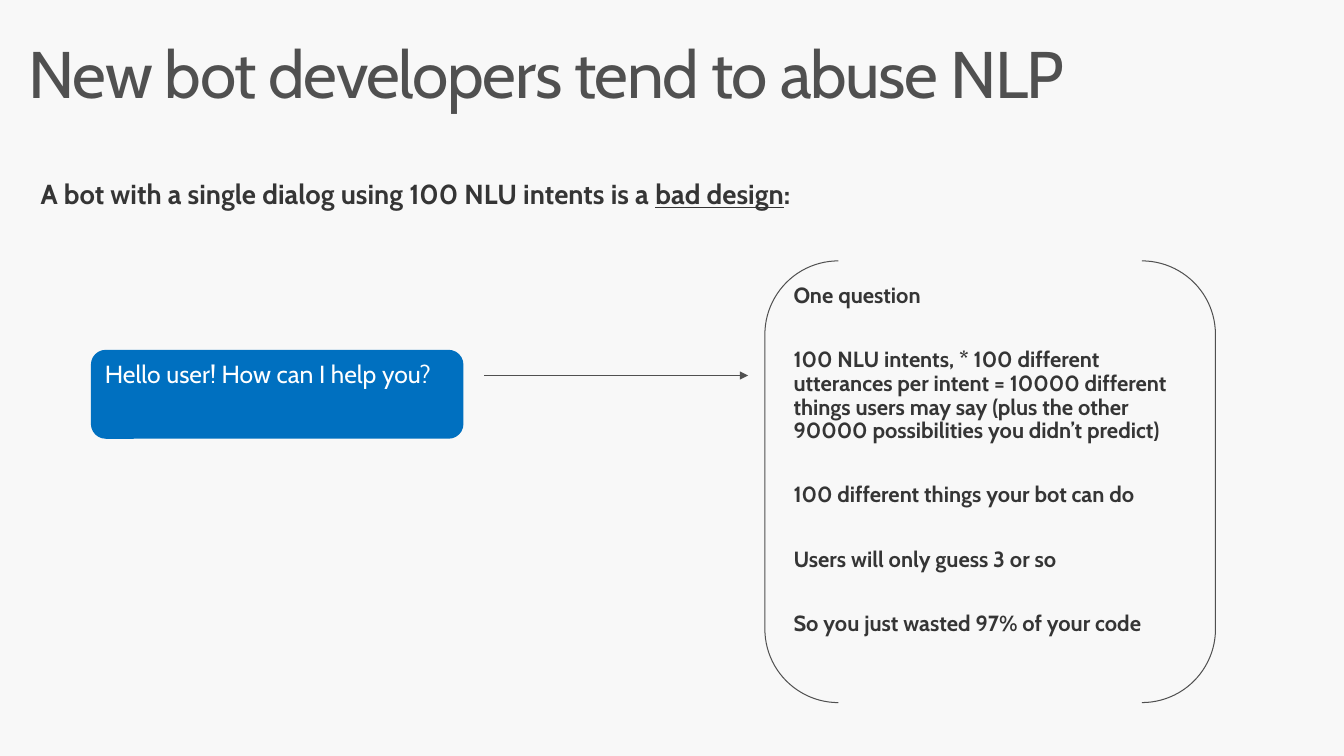
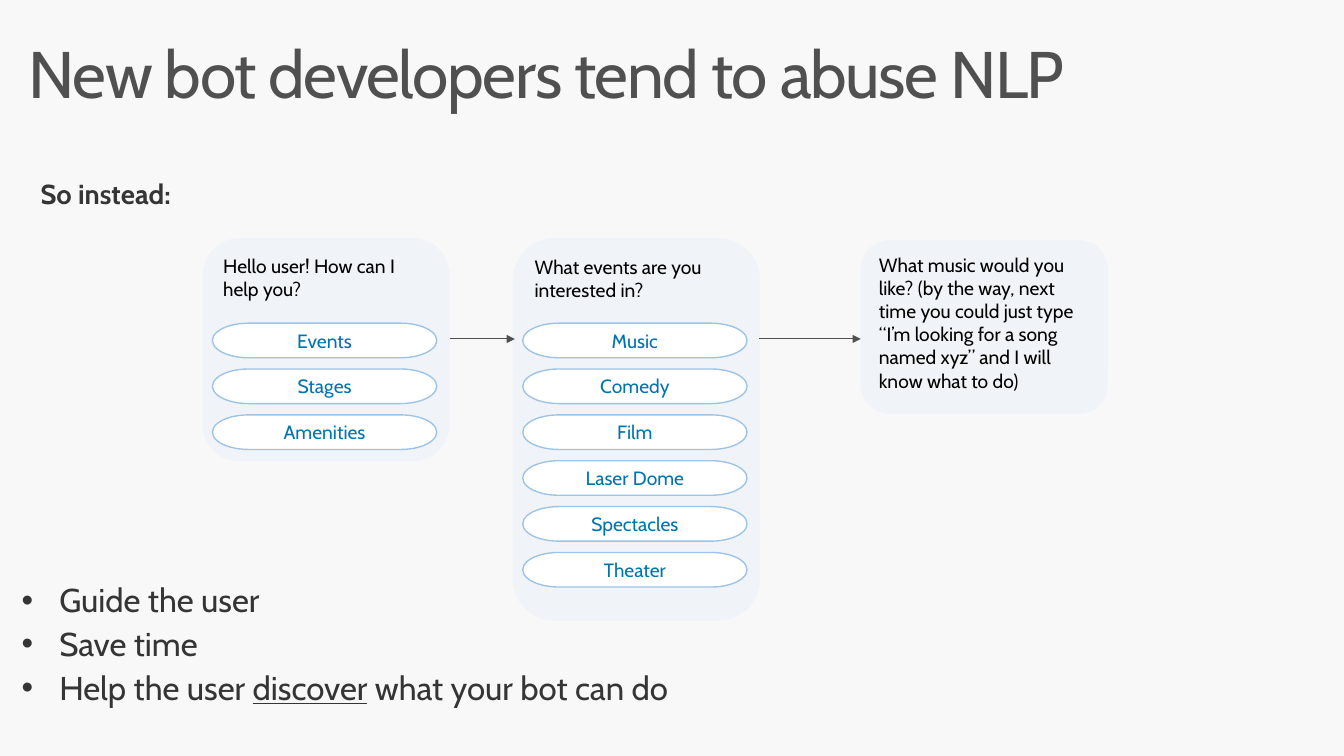
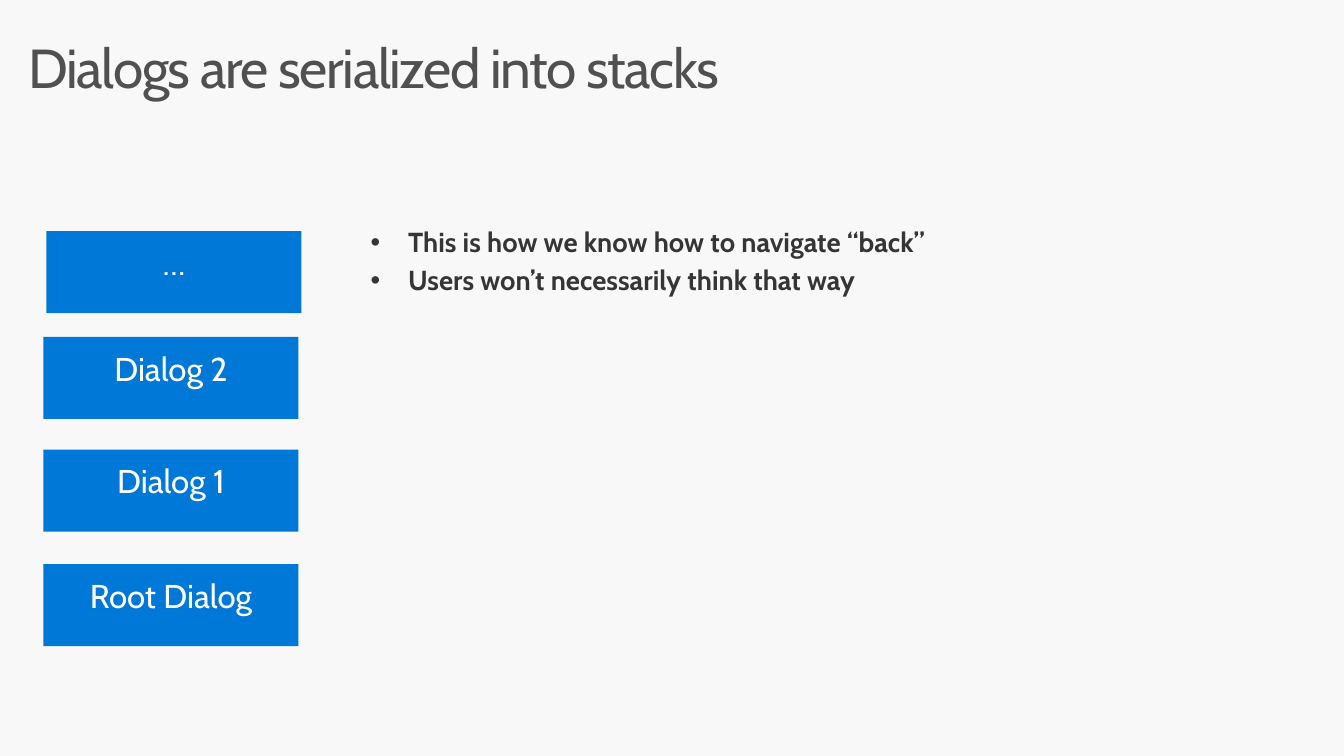
from lxml.etree import SubElement
from pptx import Presentation
from pptx.dml.color import RGBColor
from pptx.enum.shapes import MSO_CONNECTOR, MSO_SHAPE
from pptx.enum.text import MSO_ANCHOR, PP_ALIGN
from pptx.oxml.ns import qn
from pptx.util import Inches, Pt

FONT = "Cabin"
COLOURS = {
    "background": "F8F8F8",
    "title": "505050",
    "line": "505050",
    "body": "353535",
    "greeting": "0070C0",
    "dialog": "0078D7",
    "card": "F0F4F8",
    "choice line": "9DC3E6",
    "choice text": "0074AF",
    "black": "000000",
    "white": "FFFFFF",
}
WIDE_INSETS = (0.2, 0.16)
TITLE_INSETS = (0.16, 0.1)
SHAPE_INSETS = (0.1, 0.05)

CHOICE_WIDTH, CHOICE_HEIGHT = 2.27, 0.35
CHOICE_LEFT, CHOICE_TOP = 0.1, 0.86
CHOICE_PITCH = 2.32 / 5
DIALOG_WIDTH, DIALOG_HEIGHT = 2.58, 0.83
BULLET_INDENT = 0.38


def colour(name):
    return RGBColor.from_string(COLOURS[name])


def add_bullet(para):
    properties = para._p.get_or_add_pPr()
    properties.set("marL", str(Inches(BULLET_INDENT)))
    properties.set("indent", str(-Inches(BULLET_INDENT)))
    SubElement(properties, qn("a:buFont"), typeface="Arial")
    SubElement(properties, qn("a:buChar"), char="•")


def write_text(box, lines, size, ink, bold=False, insets=SHAPE_INSETS, bullets=False,
               tracking=None, anchor=MSO_ANCHOR.TOP, **paragraph_format):
    """Fill the box with one paragraph per line; words between bars are underlined."""
    frame = box.text_frame
    across, down = (Inches(inset) for inset in insets)
    frame_format = {
        "word_wrap": True, "vertical_anchor": anchor,
        "margin_left": across, "margin_right": across,
        "margin_top": down, "margin_bottom": down,
    }
    for name, value in frame_format.items():
        setattr(frame, name, value)
    paragraph_format = {"alignment": PP_ALIGN.LEFT, **paragraph_format}
    font_format = {"name": FONT, "size": Pt(size), "bold": bold}
    for number, line in enumerate(lines):
        para = frame.add_paragraph() if number else frame.paragraphs[0]
        if bullets:
            add_bullet(para)
        for name, value in paragraph_format.items():
            setattr(para, name, value)
        for position, words in enumerate(line.split("|")):
            span = para.add_run()
            span.text = words
            for name, value in font_format.items():
                setattr(span.font, name, value)
            span.font.color.rgb = colour(ink)
            if position % 2:
                span.font.underline = True
            if tracking is not None:
                span._r.get_or_add_rPr().set("spc", str(tracking))


def add_body(page, bounds, lines, size, space_after=6, **text_format):
    box = page.shapes.add_textbox(*map(Inches, bounds))
    write_text(box, lines, size, "body", insets=WIDE_INSETS, line_spacing=0.9,
               space_after=Pt(space_after), **text_format)


def add_block(page, kind, bounds, fill=None, line=None, line_width=0.75):
    block = page.shapes.add_shape(kind, *map(Inches, bounds))
    block.shadow.inherit = False
    if fill:
        block.fill.solid()
        block.fill.fore_color.rgb = colour(fill)
    else:
        block.fill.background()
    if line:
        block.line.color.rgb = colour(line)
        block.line.width = Pt(line_width)
    else:
        block.line.fill.background()
    return block


def add_arrow(page, start, end, level):
    arrow = page.shapes.add_connector(
        MSO_CONNECTOR.STRAIGHT, *map(Inches, (start, level, end, level)))
    arrow.line.color.rgb = colour("line")
    arrow.line.width = Pt(0.75)
    SubElement(arrow.line._get_or_add_ln(), qn("a:tailEnd"), type="triangle")
    SubElement(arrow._element.spPr, qn("a:effectLst"))


def add_page(deck, title, title_size=48):
    page = deck.slides.add_slide(deck.slide_layouts[6])
    box = page.shapes.add_textbox(*map(Inches, (0.13, 0.32, 13, 1)))
    write_text(box, [title], title_size, "title", insets=TITLE_INSETS,
               tracking=-100, line_spacing=0.9)
    return page


def add_lead(page, line):
    add_body(page, (0.21, 1.68, 12.65, 0.63), [line], 20, bold=True)


def add_chat_card(page, left, top, height, question, choices=()):
    card = add_block(page, MSO_SHAPE.ROUNDED_RECTANGLE, (left, top, 2.5, height), "card")
    write_text(card, [question], 14, "black")
    for row, choice in enumerate(choices):
        bounds = (left + CHOICE_LEFT, top + CHOICE_TOP + row * CHOICE_PITCH,
                  CHOICE_WIDTH, CHOICE_HEIGHT)
        button = add_block(page, MSO_SHAPE.FLOWCHART_TERMINATOR, bounds,
                           "white", "choice line", 1)
        write_text(button, [choice], 14, "choice text",
                   anchor=MSO_ANCHOR.MIDDLE, alignment=PP_ALIGN.CENTER)


def add_dialog(page, left, top, name):
    dialog = add_block(page, MSO_SHAPE.RECTANGLE,
                       (left, top, DIALOG_WIDTH, DIALOG_HEIGHT), "dialog")
    write_text(dialog, [name], 24, "white", insets=WIDE_INSETS,
               alignment=PP_ALIGN.CENTER, line_spacing=0.9)


def build_bad_design(deck):
    page = add_page(deck, "New bot developers tend to abuse NLP")
    add_lead(page, "A bot with a single dialog using 100 NLU intents is a |bad design|:")
    greeting = add_block(page, MSO_SHAPE.ROUNDED_RECTANGLE, (0.92, 3.54, 3.77, 0.9), "greeting")
    write_text(greeting, ["Hello user! How can I help you?"], 18, "white")
    add_arrow(page, 4.9, 7.57, 3.8)
    add_body(page, (7.83, 2.72, 4.48, 3.9), [
        "One question",
        "100 NLU intents, * 100 different utterances per intent = 10000 different "
        "things users may say (plus the other 90000 possibilities you didn’t predict)",
        "100 different things your bot can do",
        "Users will only guess 3 or so",
        "So you just wasted 97% of your code",
    ], 16, bold=True, space_after=29.5)
    add_block(page, MSO_SHAPE.DOUBLE_BRACKET, (7.74, 2.64, 4.56, 4.47), line="line")


def build_guided_design(deck):
    page = add_page(deck, "New bot developers tend to abuse NLP")
    add_lead(page, "So instead:")
    add_chat_card(page, 2.05, 2.41, 2.26, "Hello user! How can I help you?",
                  ["Events", "Stages", "Amenities"])
    add_chat_card(page, 5.19, 2.41, 3.87, "What events are you interested in?",
                  ["Music", "Comedy", "Film", "Laser Dome", "Spectacles", "Theater"])
    add_chat_card(page, 8.71, 2.43, 1.76,
                  "What music would you like? (by the way, next time you could just type "
                  "“I’m looking for a song named xyz” and I will know what to do)")
    for start, end in ((4.55, 5.21), (7.68, 8.71)):
        add_arrow(page, start, end, 3.43)
    add_body(page, (0.02, 5.75, 13.13, 1.58), [
        "Guide the user",
        "Save time",
        "Help the user |discover| what your bot can do",
    ], 24, bullets=True)


def build_dialog_stack(deck):
    page = add_page(deck, "Dialogs are serialized into stacks", 40)
    add_body(page, (3.55, 2.16, 9.4, 1.01), [
        "This is how we know how to navigate “back”",
        "Users won’t necessarily think that way",
    ], 20, bold=True, bullets=True)
    for left, top, name in (
        (0.44, 5.71, "Root Dialog"),
        (0.44, 4.55, "Dialog 1"),
        (0.44, 3.41, "Dialog 2"),
        (0.47, 2.34, "…"),
    ):
        add_dialog(page, left, top, name)


def main():
    deck = Presentation()
    deck.slide_width, deck.slide_height = Inches(13.6), Inches(7.65)
    backdrop = deck.slide_master.background.fill
    backdrop.solid()
    backdrop.fore_color.rgb = colour("background")
    build_bad_design(deck)
    build_guided_design(deck)
    build_dialog_stack(deck)
    deck.save("out.pptx")


if __name__ == "__main__":
    main()
